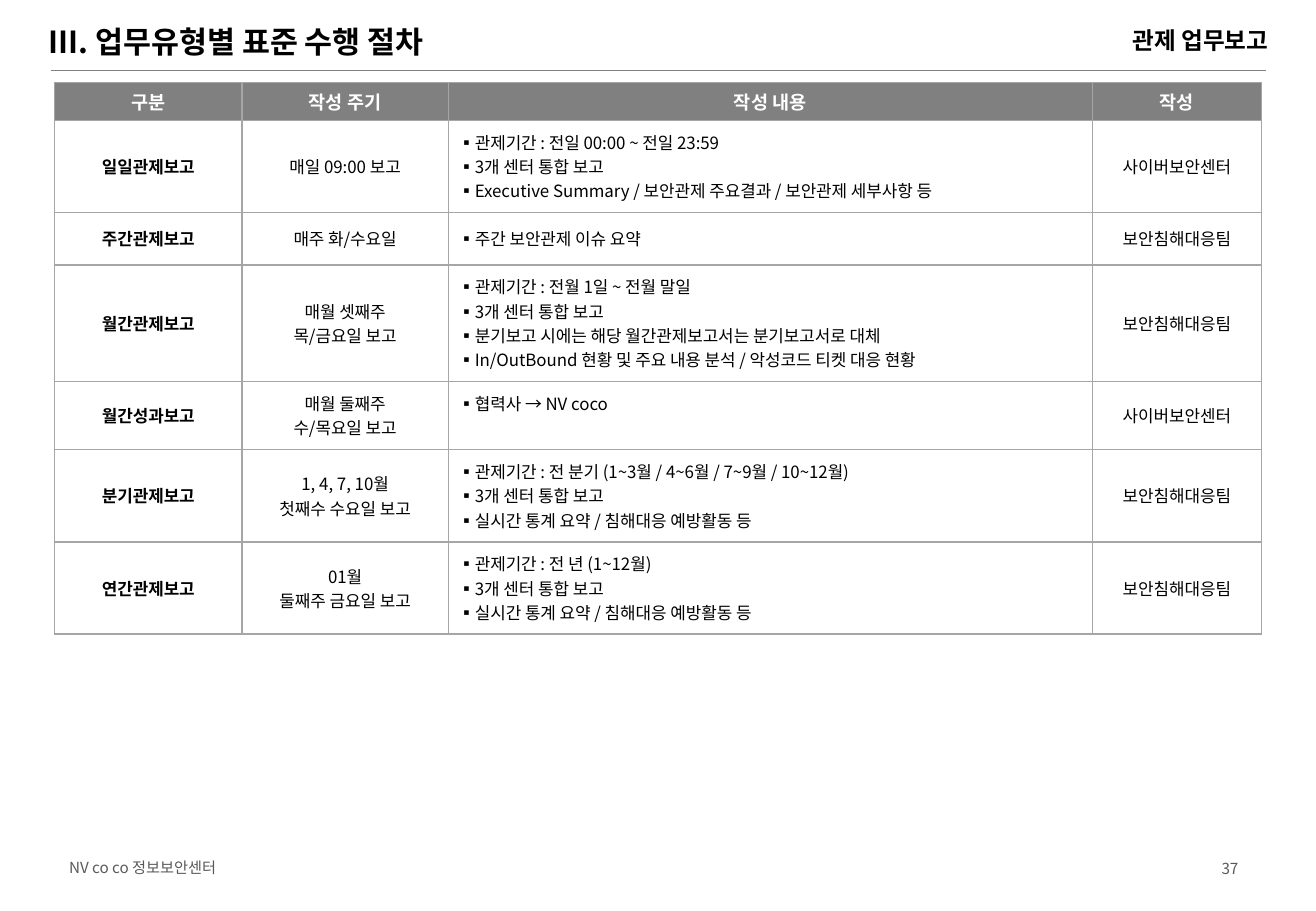
from lxml.etree import SubElement
from pptx import Presentation
from pptx.dml.color import RGBColor
from pptx.enum.text import MSO_ANCHOR as Anchor, MSO_AUTO_SIZE as AutoSize, PP_ALIGN as Align
from pptx.oxml.ns import qn
from pptx.util import Inches, Pt

FONT = "Noto Sans CJK KR"
BLACK, WHITE, GRAY, BORDER, MUTED = "000000", "FFFFFF", "808080", "A6A6A6", "595959"

TITLE = "III. 업무유형별 표준 수행 절차"
TOPIC = "관제 업무보고"
FOOTER = "NV co co 정보보안센터"
PAGE = "37"
HEADINGS = ["구분", "작성 주기", "작성 내용", "작성"]
CENTER, TEAM = "사이버보안센터", "보안침해대응팀"
COMBINED = "3개 센터 통합 보고"
STATISTICS = "실시간 통계 요약 / 침해대응 예방활동 등"
REPORTS = [
    ("일일관제보고", ["매일 09:00 보고"],
     ["관제기간 : 전일 00:00 ~ 전일 23:59", COMBINED,
      "Executive Summary / 보안관제 주요결과 / 보안관제 세부사항 등"], CENTER),
    ("주간관제보고", ["매주 화/수요일"], ["주간 보안관제 이슈 요약"], TEAM),
    ("월간관제보고", ["매월 셋째주\v목/금요일 보고"],
     ["관제기간 : 전월 1일 ~ 전월 말일", COMBINED,
      "분기보고 시에는 해당 월간관제보고서는 분기보고서로 대체",
      "In/OutBound 현황 및 주요 내용 분석 / 악성코드 티켓 대응 현황"], TEAM),
    ("월간성과보고", ["매월 둘째주", "수/목요일 보고"], ["협력사 → NV coco"], CENTER),
    ("분기관제보고", ["1, 4, 7, 10월", "첫째수 수요일 보고"],
     ["관제기간 : 전 분기 (1~3월 / 4~6월 / 7~9월 / 10~12월)", COMBINED, STATISTICS], TEAM),
    ("연간관제보고", ["01월", "둘째주 금요일 보고"],
     ["관제기간 : 전 년 (1~12월)", COMBINED, STATISTICS], TEAM),
]
COLUMN_WIDTHS = [1.54, 1.7, 5.3, 1.39]
ROW_HEIGHTS = [0.31, 0.75, 0.43, 0.95, 0.56, 0.75, 0.75]


def color(value):
    return RGBColor.from_string(value)


def add_bullet(paragraph):
    properties = paragraph._p.get_or_add_pPr()
    properties.set("marL", str(Inches(0.1)))
    properties.set("indent", str(Inches(-0.1)))
    SubElement(properties, qn("a:buFont"), typeface=FONT)
    SubElement(properties, qn("a:buChar"), char="▪")


def write(frame, lines, size, ink, bold=False, align=Align.LEFT, bullets=False):
    for index, line in enumerate(lines):
        paragraph = frame.paragraphs[0] if index == 0 else frame.add_paragraph()
        paragraph.text = line
        paragraph.alignment = align
        paragraph.space_before = Pt(0)
        if bullets:
            add_bullet(paragraph)
        for run in paragraph.runs:
            run.font.name = FONT
            run.font.size = Pt(size)
            run.font.bold = bold
            run.font.color.rgb = color(ink)
            SubElement(run._r.get_or_add_rPr(), qn("a:ea"), typeface=FONT)


def place(shape, left, top, width, height):
    shape.left, shape.top = Inches(left), Inches(top)
    shape.width, shape.height = Inches(width), Inches(height)
    frame = shape.text_frame
    frame.word_wrap = True
    frame.auto_size = AutoSize.NONE
    frame.vertical_anchor = Anchor.MIDDLE
    return frame


def add_label(box):
    return place(slide.shapes.add_textbox(0, 0, 0, 0), *box)


def style_cell(cell, inset, anchor, fill=None):
    cell.margin_left = cell.margin_right = Inches(inset)
    cell.margin_top = cell.margin_bottom = Inches(inset)
    cell.vertical_anchor = anchor
    properties = cell._tc.get_or_add_tcPr()
    for side in ("lnL", "lnR", "lnT", "lnB"):
        edge = SubElement(properties, qn(f"a:{side}"), w=str(Pt(1)))
        SubElement(SubElement(edge, qn("a:solidFill")), qn("a:srgbClr"), val=BORDER)
    if fill:
        cell.fill.solid()
        cell.fill.fore_color.rgb = color(fill)
    else:
        cell.fill.background()


deck = Presentation()
deck.slide_width, deck.slide_height = Inches(10.83), Inches(7.5)
slide = deck.slides.add_slide(deck.slide_layouts[5])

rule = slide.shapes.add_connector(1, Inches(0.42), Inches(0.58), Inches(10.42), Inches(0.58))
rule.line.color.rgb = color(GRAY)
rule.line.width = Pt(1)
SubElement(rule._element.spPr, qn("a:effectLst"))

write(place(slide.shapes.title, 0.3, 0.16, 7.6, 0.36), [TITLE], 18, BLACK, True)
topic = add_label((6.05, 0.23, 4.41, 0.22))
topic.margin_left = topic.margin_right = Inches(0.02)
topic.margin_top = topic.margin_bottom = 0
write(topic, [TOPIC], 14, BLACK, True, Align.RIGHT)
topic.paragraphs[0].line_spacing = 0.95
write(add_label((0.47, 7.01, 2.8, 0.26)), [FOOTER], 9, MUTED)
write(add_label((7.76, 6.95, 2.53, 0.4)), [PAGE], 9, MUTED, align=Align.RIGHT)

schedule = slide.shapes.add_table(
    len(ROW_HEIGHTS), len(COLUMN_WIDTHS), Inches(0.45), Inches(0.68),
    Inches(sum(COLUMN_WIDTHS)), Inches(sum(ROW_HEIGHTS))).table
schedule.first_row = schedule.horz_banding = False
for column, width in zip(schedule.columns, COLUMN_WIDTHS):
    column.width = Inches(width)
for row, height in zip(schedule.rows, ROW_HEIGHTS):
    row.height = Inches(height)

for cell, heading in zip(schedule.rows[0].cells, HEADINGS):
    style_cell(cell, 0, Anchor.MIDDLE, GRAY)
    write(cell.text_frame, [heading], 11, WHITE, True, Align.CENTER)

for number, (report, cycle, details, author) in enumerate(REPORTS, 1):
    single_line = len(cycle) == len(details) == 1
    for index, lines in enumerate([[report], cycle, details, [author]]):
        cell = schedule.cell(number, index)
        is_details = index == 2
        style_cell(cell, 0.08, Anchor.TOP if is_details and not single_line else Anchor.MIDDLE)
        write(cell.text_frame, lines, 10, BLACK, index == 0,
              Align.LEFT if is_details else Align.CENTER, is_details)

deck.save("out.pptx")
